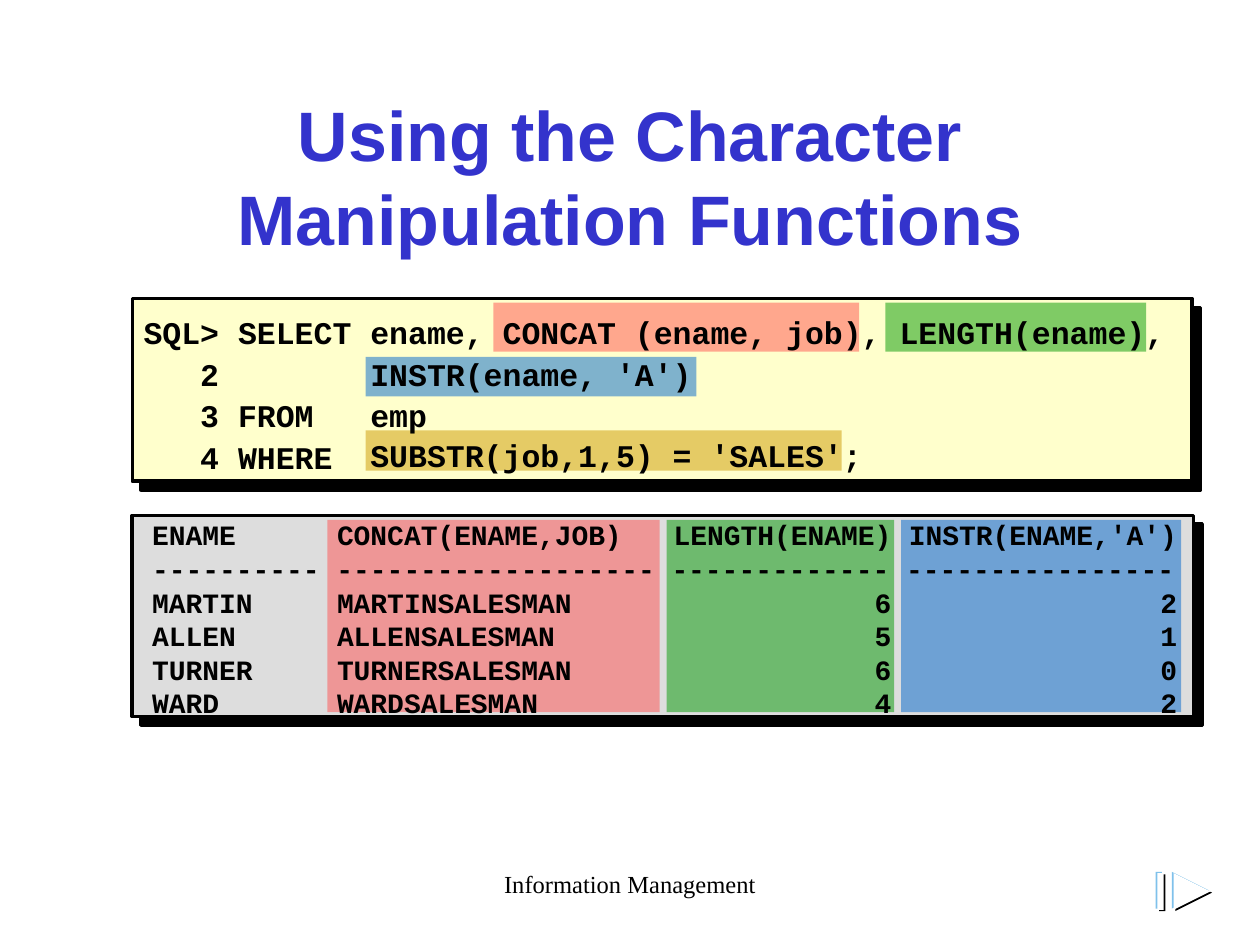
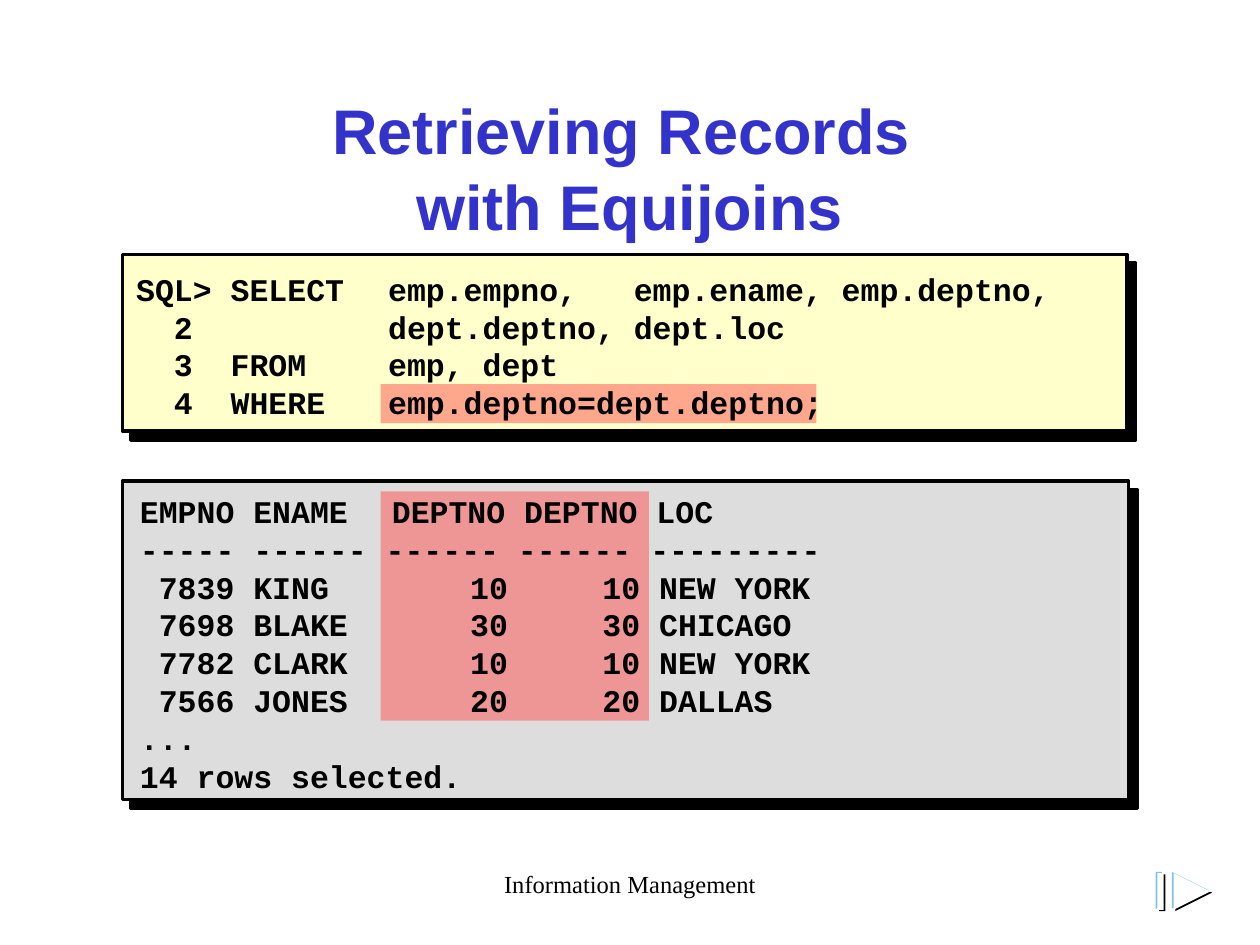
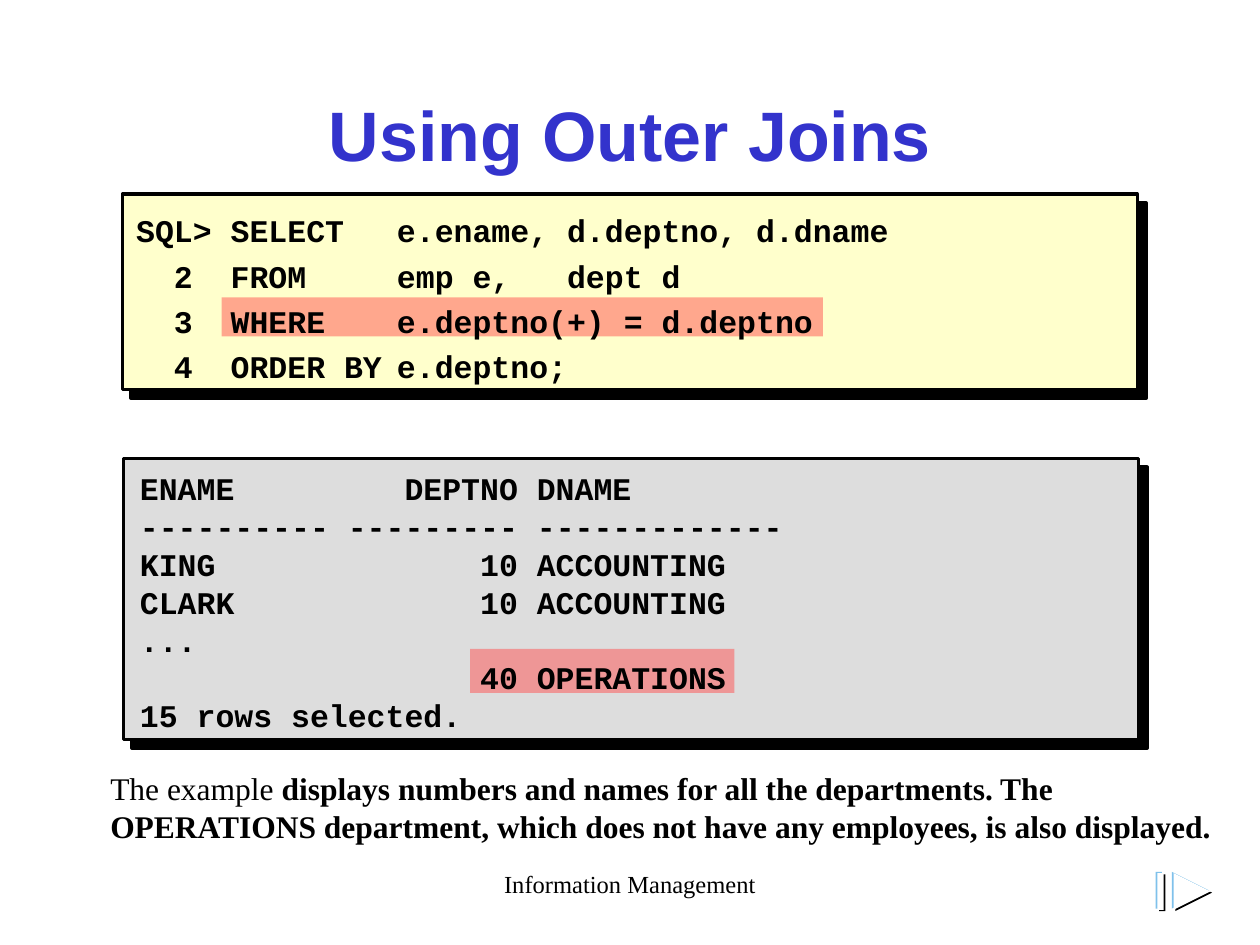
from pptx import Presentation
from pptx.dml.color import RGBColor
from pptx.enum.shapes import MSO_SHAPE
from pptx.enum.text import MSO_ANCHOR as ANCHOR, PP_ALIGN as ALIGN
from pptx.oxml import parse_xml
from pptx.oxml.ns import nsdecls, qn
from pptx.oxml.xmlchemy import OxmlElement
from pptx.util import Pt

WIDTH, HEIGHT = 720, 540
BLACK, WHITE, BLUE, SKY = "000000", "FFFFFF", "3333CC", "7FC1EB"
CREAM, GRAY = "FFFFCC", "DDDDDD"
RED, GREEN, AZURE, GOLD = "FF5050", "009900", "0066CC", "CC9900"
LINE_HEIGHT = 1.2
CHARACTER_WIDTH = 0.6
TEXT_DROP = 1.5

CODE = {"name": "Courier New", "size": Pt(18), "bold": True}
SMALL_CODE = {**CODE, "size": Pt(16)}
TITLE = {"name": "Arial", "size": Pt(40), "bold": True}
FOOTER = {"name": "Times New Roman", "size": Pt(14), "bold": False}
NOTE = {**FOOTER, "size": Pt(18)}


def color(value):
    return RGBColor.from_string(value)


def shadow_effect():
    return parse_xml(
        f'<a:effectLst {nsdecls("a")}><a:outerShdw dist="{Pt(7.1)}" dir="2700000" algn="ctr">'
        f'<a:srgbClr val="{BLACK}"/></a:outerShdw></a:effectLst>')


def format_run(run, style, fill=BLACK):
    for name, value in style.items():
        setattr(run.font, name, value)
    run.font.color.rgb = color(fill)


def add_frame(slide, box, anchor=ANCHOR.TOP):
    frame = slide.shapes.add_textbox(*map(Pt, box)).text_frame
    settings = {"word_wrap": True, "vertical_anchor": anchor, "margin_left": 0,
                "margin_right": 0, "margin_top": 0, "margin_bottom": 0}
    for name, value in settings.items():
        setattr(frame, name, value)
    return frame


def set_spacing(paragraph, style, factor=1):
    paragraph.line_spacing = Pt(style["size"].pt * LINE_HEIGHT * factor)


def set_tabs(paragraph, style, stops):
    tab_list = OxmlElement("a:tabLst")
    for column, side in stops:
        tab = OxmlElement("a:tab")
        tab.set("pos", str(Pt(column * CHARACTER_WIDTH * style["size"].pt)))
        tab.set("algn", side)
        tab_list.append(tab)
    paragraph._p.get_or_add_pPr().append(tab_list)


def add_title(slide, text, size):
    style = {**TITLE, "size": Pt(size)}
    paragraph = add_frame(slide, (61, 52.5, 598, 90)).paragraphs[0]
    paragraph.text = text
    paragraph.alignment = ALIGN.CENTER
    set_spacing(paragraph, style)
    for run in paragraph.runs:
        format_run(run, style, BLUE)
        fill = run._r.get_or_add_rPr().find(qn("a:solidFill"))
        fill.addnext(shadow_effect())


def add_rectangle(slide, box, fill):
    shape = slide.shapes.add_shape(MSO_SHAPE.RECTANGLE, *map(Pt, box))
    shape.shadow.inherit = False
    shape.fill.solid()
    shape.fill.fore_color.rgb = color(fill)
    shape.line.fill.background()
    return shape


def add_panel(slide, box, fill):
    shape = add_rectangle(slide, box, fill)
    shape.line.color.rgb = color(BLACK)
    shape.line.width = Pt(2)
    properties = shape._element.spPr
    properties.remove(properties.find(qn("a:effectLst")))
    properties.append(shadow_effect())


def add_highlight(slide, box, fill):
    shape = add_rectangle(slide, box, fill)
    alpha = OxmlElement("a:alpha")
    alpha.set("val", "50000")
    shape._element.spPr.find(qn("a:solidFill"))[0].append(alpha)


def add_code(slide, left, panel, lines, stops=(), style=CODE, factor=1):
    top, height = panel[1], panel[3]
    frame = add_frame(slide, (left, top + TEXT_DROP, WIDTH - left, height), ANCHOR.MIDDLE)
    for index, line in enumerate(lines):
        paragraph = frame.add_paragraph() if index else frame.paragraphs[0]
        set_spacing(paragraph, style, factor)
        set_tabs(paragraph, style, stops)
        run = paragraph.add_run()
        run.text = line
        format_run(run, style)


def add_footer(slide):
    paragraph = add_frame(slide, (246, 496.5, 228, 30)).paragraphs[0]
    paragraph.text = "Information Management"
    paragraph.alignment = ALIGN.CENTER
    format_run(paragraph.runs[0], FOOTER)


def add_triangle(slide, left, top, width, height, fill):
    builder = slide.shapes.build_freeform(Pt(left), Pt(top), scale=1.0)
    builder.add_line_segments([(Pt(left + width), Pt(top + height / 2)),
                               (Pt(left), Pt(top + height))])
    shape = builder.convert_to_shape()
    shape.shadow.inherit = False
    shape.fill.solid()
    shape.fill.fore_color.rgb = color(fill)
    shape.line.fill.background()


def add_next_mark(slide):
    layers = ((2, 1.4, BLACK), (0, 0, SKY), (1, 0.7, WHITE))
    for right, down, fill in layers:
        add_rectangle(slide, (660.4 + right, 498.2 + down, 3.6, 21), fill)
    for right, down, fill in layers:
        add_triangle(slide, 669.6 + right, 498.2 + down, 21, 21, fill)


def add_note(slide, plain, bold):
    paragraph = add_frame(slide, (63, 434.2 + TEXT_DROP, 650, 51), ANCHOR.MIDDLE).paragraphs[0]
    set_spacing(paragraph, NOTE)
    for text, is_bold in ((plain, False), (bold, True)):
        run = paragraph.add_run()
        run.text = text
        format_run(run, {**NOTE, "bold": is_bold})


def start_slide(presentation, title, size, code_panel, output_panel, highlights):
    slide = presentation.slides.add_slide(presentation.slide_layouts[6])
    add_footer(slide)
    add_panel(slide, code_panel, CREAM)
    add_panel(slide, output_panel, GRAY)
    add_title(slide, title, size)
    for box, fill in highlights:
        add_highlight(slide, box, fill)
    add_next_mark(slide)
    return slide


def build_character_functions(presentation):
    code_panel, output_panel = (75.6, 170.6, 605.5, 104.4), (75.6, 294.5, 606.5, 115)
    slide = start_slide(
        presentation, "Using the Character Manipulation Functions", 40, code_panel, output_panel,
        [((282, 173, 209, 28), RED), ((187, 297, 190, 110), RED),
         ((506, 173, 149, 28), GREEN), ((381, 297, 130, 110), GREEN),
         ((209, 204, 189, 22.5), AZURE), ((515, 297, 160, 110), AZURE),
         ((209, 246, 272, 23), GOLD)])
    add_code(slide, 82, code_panel, [
        "SQL> SELECT ename, CONCAT (ename, job), LENGTH(ename),",
        "\t2\t\tINSTR(ename, 'A')",
        "\t3\tFROM\temp",
        "\t4\tWHERE"], [(4, "r"), (5, "l"), (12, "l")], factor=1.1)
    add_code(slide, 211.6, (209, 240, 272, 33), ["SUBSTR(job,1,5) = 'SALES';"], factor=1.2)
    add_code(slide, 87, output_panel, [
        "ENAME\tCONCAT(ENAME,JOB)\tLENGTH(ENAME)\tINSTR(ENAME,'A')",
        "---------- ------------------- ------------- ----------------",
        "MARTIN\tMARTINSALESMAN\t6\t2",
        "ALLEN\tALLENSALESMAN\t5\t1",
        "TURNER\tTURNERSALESMAN\t6\t0",
        "WARD\tWARDSALESMAN\t4\t2"], [(11, "l"), (44, "r"), (61, "r")], SMALL_CODE)


def build_equijoins(presentation):
    code_panel, output_panel = (70, 145.4, 574, 101), (70, 275, 575, 182)
    slide = start_slide(
        presentation, "Retrieving Records \vwith Equijoins", 36, code_panel, output_panel,
        [((217.5, 219.5, 249, 22.3), RED), ((217.5, 280.8, 153.4, 131), RED)])
    add_code(slide, 77.8, code_panel, [
        "SQL> SELECT\temp.empno,\temp.ename, emp.deptno,",
        "\t2\t\tdept.deptno, dept.loc",
        "\t3\tFROM\temp, dept",
        "\t4\tWHERE\temp.deptno=dept.deptno;"],
        [(3, "r"), (5, "l"), (13.33, "l"), (26.33, "l")])
    add_code(slide, 80, output_panel, [
        "EMPNO ENAME\tDEPTNO DEPTNO LOC",
        "----- ------ ------ ------ ---------",
        "\t7839\tKING\t\t10\t10 NEW YORK",
        "\t7698\tBLAKE\t\t30\t30 CHICAGO",
        "\t7782\tCLARK\t\t10\t10 NEW YORK",
        "\t7566\tJONES\t\t20\t20 DALLAS",
        "...",
        "14 rows selected."],
        [(5, "r"), (6, "l"), (13.33, "l"), (17.47, "l"), (24.47, "l")])


def build_outer_joins(presentation):
    code_panel, output_panel = (70, 111, 580, 111.6), (70.5, 262, 580, 160.6)
    slide = start_slide(
        presentation, "Using Outer Joins", 40, code_panel, output_panel,
        [((126.7, 170, 343.5, 22.3), RED), ((268.6, 370.8, 151, 25.2), RED)])
    add_code(slide, 77.8, code_panel, [
        "SQL> SELECT\te.ename, d.deptno, d.dname",
        "\t2\tFROM\temp e,\tdept d",
        "\t3\tWHERE\te.deptno(+) = d.deptno",
        "\t4\tORDER BY\te.deptno;"],
        [(3, "r"), (5, "l"), (13.8, "l"), (22.8, "l")], factor=1.2)
    add_code(slide, 80, output_panel, [
        "ENAME\tDEPTNO\tDNAME",
        "---------- --------- -------------",
        "KING\t10\tACCOUNTING",
        "CLARK\t10\tACCOUNTING",
        "...",
        "\t40\tOPERATIONS",
        "15 rows selected."], [(20, "r"), (21, "l")])
    add_note(slide, "The example ",
             "displays numbers and names for all the departments. The OPERATIONS department, "
             "which does not have any employees, is also displayed.")


def main():
    presentation = Presentation()
    presentation.slide_width, presentation.slide_height = Pt(WIDTH), Pt(HEIGHT)
    build_character_functions(presentation)
    build_equijoins(presentation)
    build_outer_joins(presentation)
    presentation.save("out.pptx")


if __name__ == "__main__":
    main()
